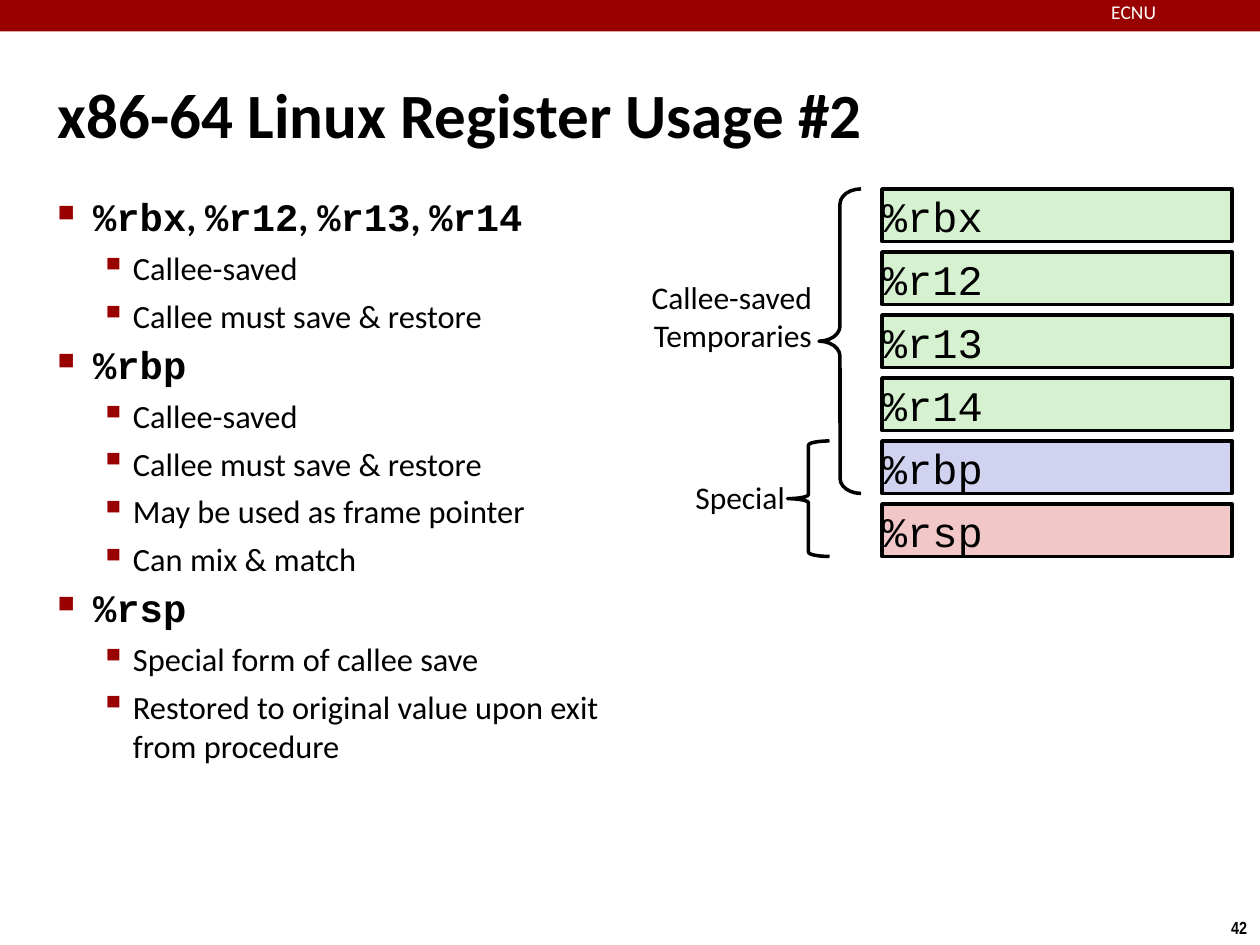
from dataclasses import dataclass

from lxml.etree import SubElement
from pptx import Presentation
from pptx.dml.color import RGBColor
from pptx.enum.shapes import MSO_SHAPE as Shape
from pptx.enum.text import MSO_ANCHOR as Anchor, MSO_AUTO_SIZE as AutoSize, PP_ALIGN as Align
from pptx.oxml.ns import qn
from pptx.util import Pt

BLACK, RED, WHITE = "000000", "990000", "FFFFFF"
GREEN, BLUE, PINK = "D5F1CF", "D1D1F0", "F1C7C7"
SANS, MONO, NARROW = "Calibri", "Courier New", "Arial Narrow"


@dataclass
class Box:
    x: float
    y: float
    w: float
    h: float

    def emu(self) -> tuple:
        return Pt(self.x), Pt(self.y), Pt(self.w), Pt(self.h)


@dataclass
class Style:
    size: float
    font: str = SANS
    color: str = BLACK
    bold: bool = False


@dataclass
class Bullet:
    char: str
    percent: int
    margin: float
    hang: float
    before: float
    spacing: float


@dataclass
class Topic:
    registers: list[str]
    details: list[str]


@dataclass
class Register:
    name: str
    color: str


@dataclass
class Brace:
    box: Box
    curve: float


@dataclass
class Label:
    box: Box
    lines: list[str]
    style: Style
    align: Align = Align.LEFT
    inset: tuple = (3, 3)
    anchor: Anchor = Anchor.TOP
    wrap: bool = True
    spacing: float = 1.0


HEAD_BULLET = Bullet("■", 60, 20.25, 20.25, 6, 0.9)
ITEM_BULLET = Bullet("▪", 110, 43, 18.75, 5, 1.0)
HEAD_CODE = Style(22.2, MONO, bold=True)
HEAD_COMMA = Style(22.2, bold=True)
ITEM = Style(18.5)
NOTE = Style(18)
CODE = Style(24, MONO)

TOPICS = [
    Topic(["%rbx", "%r12", "%r13", "%r14"], ["Callee-saved", "Callee must save & restore"]),
    Topic(["%rbp"], ["Callee-saved", "Callee must save & restore",
                     "May be used as frame pointer", "Can mix & match"]),
    Topic(["%rsp"], ["Special form of callee save",
                     "Restored to original value upon exit from procedure"]),
]
REGISTERS = [
    Register("%rbx", GREEN), Register("%r12", GREEN), Register("%r13", GREEN),
    Register("%r14", GREEN), Register("%rbp", BLUE), Register("%rsp", PINK),
]
ROW_X, ROW_Y, ROW_W, ROW_H, ROW_STEP = 504, 108, 200, 30, 36
BRACES = [
    Brace(Box(468, ROW_Y, 24, 4 * ROW_STEP + ROW_H), 0.36),
    Brace(Box(450, ROW_Y + 4 * ROW_STEP, 24, ROW_STEP + ROW_H), 0.1),
]
LABELS = [
    Label(Box(681, 520.5, 54, 19.5), ["42"], Style(10, NARROW, bold=True),
          Align.CENTER, (7.2, 3.6), wrap=False),
    Label(Box(635, 1.5, 104, 13.5), ["ECNU"], Style(11.1, color=WHITE), inset=(0, 0), spacing=0.9),
    Label(Box(30, 20, 474, 90), ["x86-64 Linux Register Usage #2"],
          Style(36, bold=True), anchor=Anchor.MIDDLE),
    Label(Box(353, 156, 114, 49), ["Callee-saved", "Temporaries"], NOTE, Align.RIGHT, wrap=False),
    Label(Box(386, 270, 65.5, 27.5), ["Special"], NOTE, Align.RIGHT, wrap=False),
]


def rgb(value: str) -> RGBColor:
    return RGBColor.from_string(value)


def frame(sp, inset: tuple, anchor: Anchor = Anchor.TOP, wrap: bool = True):
    tf = sp.text_frame
    tf.word_wrap = wrap
    tf.auto_size = AutoSize.NONE if wrap else AutoSize.SHAPE_TO_FIT_TEXT
    tf.vertical_anchor = anchor
    tf.margin_left = tf.margin_right = Pt(inset[0])
    tf.margin_top = tf.margin_bottom = Pt(inset[1])
    return tf


def add_run(p, text: str, style: Style) -> None:
    r = p.add_run()
    r.text = text
    r.font.size, r.font.name, r.font.bold = Pt(style.size), style.font, style.bold
    r.font.color.rgb = rgb(style.color)


def add_label(s, label: Label) -> None:
    tf = frame(s.shapes.add_textbox(*label.box.emu()), label.inset, label.anchor, label.wrap)
    for i, line in enumerate(label.lines):
        p = tf.add_paragraph() if i else tf.paragraphs[0]
        p.alignment, p.line_spacing = label.align, label.spacing
        add_run(p, line, label.style)


def add_shape(s, kind: Shape, box: Box, fill: str | None, line: str | None = None):
    sp = s.shapes.add_shape(kind, *box.emu())
    sp.shadow.inherit = False
    if fill:
        sp.fill.solid()
        sp.fill.fore_color.rgb = rgb(fill)
    else:
        sp.fill.background()
    if line:
        sp.line.color.rgb, sp.line.width = rgb(line), Pt(2)
    else:
        sp.line.fill.background()
    return sp


def set_bullet(p, bullet: Bullet, level: int) -> None:
    p.level = level
    pPr = p._p.get_or_add_pPr()
    pPr.set("marL", str(Pt(bullet.margin)))
    pPr.set("indent", str(-Pt(bullet.hang)))
    SubElement(SubElement(pPr, qn("a:buClr")), qn("a:srgbClr"), val=RED)
    SubElement(pPr, qn("a:buSzPct"), val=str(bullet.percent * 1000))
    SubElement(pPr, qn("a:buChar"), char=bullet.char)
    p.line_spacing = bullet.spacing


def add_topics(s, box: Box, topics: list[Topic]) -> None:
    tf = frame(s.shapes.add_textbox(*box.emu()), (3, 3))
    for i, topic in enumerate(topics):
        p = tf.add_paragraph() if i else tf.paragraphs[0]
        set_bullet(p, HEAD_BULLET, 0)
        if i:
            p.space_before = Pt(HEAD_BULLET.before)
        for j, name in enumerate(topic.registers):
            if j:
                add_run(p, ", ", HEAD_COMMA)
            add_run(p, name, HEAD_CODE)
        for detail in topic.details:
            p = tf.add_paragraph()
            set_bullet(p, ITEM_BULLET, 1)
            p.space_before = Pt(ITEM_BULLET.before)
            add_run(p, detail, ITEM)


def add_register(s, row: int, register: Register) -> None:
    box = Box(ROW_X, ROW_Y + row * ROW_STEP, ROW_W, ROW_H)
    sp = add_shape(s, Shape.RECTANGLE, box, register.color, BLACK)
    p = frame(sp, (0, 0), Anchor.MIDDLE).paragraphs[0]
    p.alignment = Align.LEFT
    add_run(p, register.name, CODE)


def add_brace(s, brace: Brace) -> None:
    sp = add_shape(s, Shape.LEFT_BRACE, brace.box, None, BLACK)
    sp.adjustments[0] = brace.curve


def main() -> None:
    prs = Presentation()
    prs.slide_width, prs.slide_height = Pt(720), Pt(540)
    s = prs.slides.add_slide(prs.slide_layouts[6])
    add_shape(s, Shape.RECTANGLE, Box(0, 0, 720, 18), RED)
    add_topics(s, Box(30, 110, 320, 346), TOPICS)
    for row, register in enumerate(REGISTERS):
        add_register(s, row, register)
    for brace in BRACES:
        add_brace(s, brace)
    for label in LABELS:
        add_label(s, label)
    prs.save("out.pptx")


if __name__ == "__main__":
    main()
